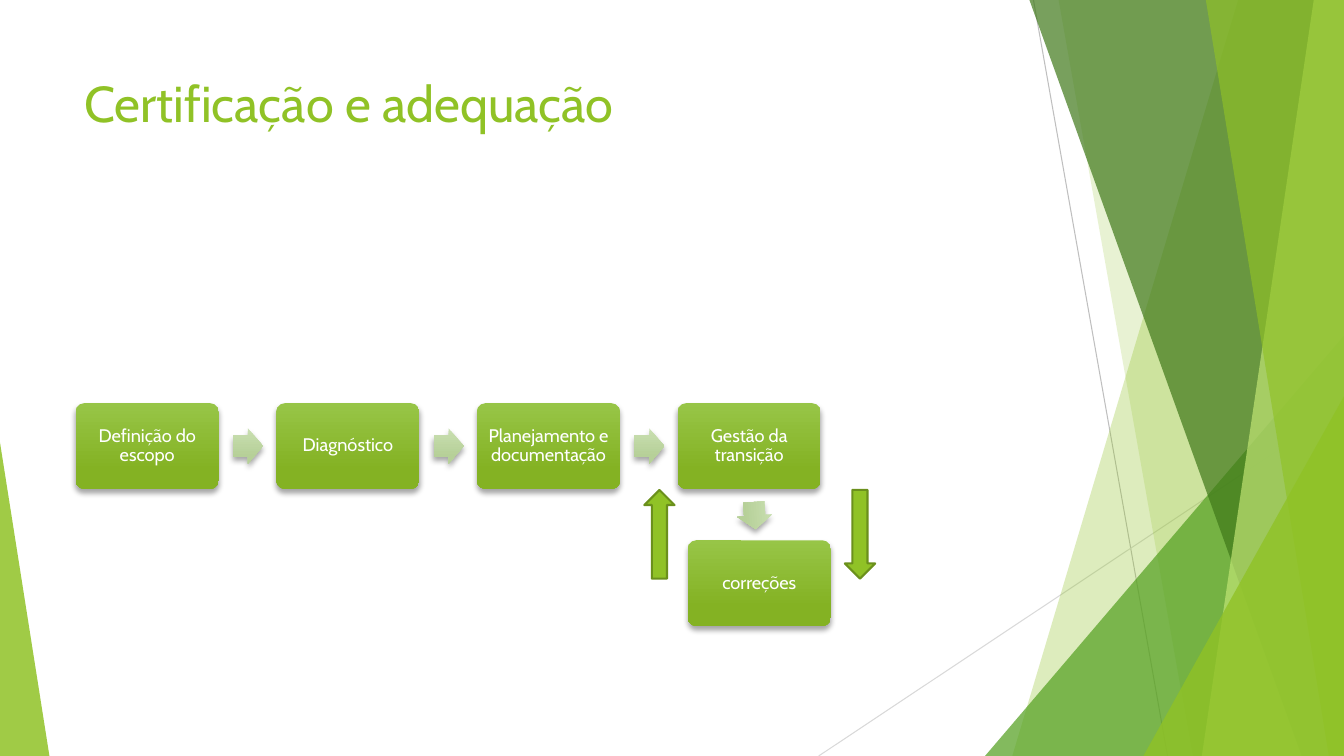
"""Build the slide "Certificação e adequação": a certification process flow."""
from pptx import Presentation
from pptx.dml.color import RGBColor
from pptx.enum import shapes as kinds, text as txt
from pptx.oxml import parse_xml
from pptx.oxml.ns import nsdecls, qn
from pptx.util import Inches, Pt

WHITE = RGBColor(0xFF, 0xFF, 0xFF)
LIME = RGBColor(0x90, 0xC2, 0x26)
LIME_EDGE = RGBColor(0x6B, 0x90, 0x1C)
LEAF = RGBColor(0x54, 0xA0, 0x21)
FOREST = RGBColor(0x3F, 0x78, 0x19)
PALE_LIME = RGBColor(0xC0, 0xE4, 0x74)
GREY = RGBColor(0xBF, 0xBF, 0xBF)
LIGHT_GREY = RGBColor(0xD9, 0xD9, 0xD9)
STEP_COLORS = RGBColor(0x97, 0xC5, 0x47), RGBColor(0x84, 0xB2, 0x23)
ARROW_COLORS = RGBColor(0xC9, 0xDF, 0xB1), RGBColor(0xB6, 0xD0, 0x98)
WIDTH, HEIGHT = 13.33, 7.5
STEP_WIDTH, STEP_HEIGHT, STEP_PITCH = 1.42, 0.85, 1.99


def write(holder, words, size, color, align, anchor, inset_x=0.1, spacing=1.0):
    frame = holder.text_frame
    frame.word_wrap = True
    frame.vertical_anchor = anchor
    frame.margin_left = frame.margin_right = Inches(inset_x)
    frame.margin_top = frame.margin_bottom = Inches(0.05)
    paragraph = frame.paragraphs[0]
    paragraph.alignment = align
    paragraph.line_spacing = spacing
    run = paragraph.add_run()
    run.text = words
    run.font.name = "Cabin"
    run.font.size = Pt(size)
    run.font.color.rgb = color


def add_raised(kind, left, top, width, height, colors, adjustments):
    raised = slide.shapes.add_shape(
        kind, Inches(left), Inches(top), Inches(width), Inches(height))
    for index, value in enumerate(adjustments):
        raised.adjustments[index] = value
    raised.fill.gradient()
    raised.fill.gradient_angle = 270
    for stop, position, color in zip(raised.fill.gradient_stops, (0, 0.78), colors):
        stop.position = position
        stop.color.rgb = color
    raised.line.fill.background()
    raised.shadow.inherit = False
    raised._element.spPr.find(qn("a:effectLst")).append(parse_xml(
        f'<a:outerShdw {nsdecls("a")} blurRad="{Pt(4)}" dist="{Pt(3)}" dir="5400000" '
        'rotWithShape="0"><a:srgbClr val="000000"><a:alpha val="35000"/>'
        '</a:srgbClr></a:outerShdw>'))
    return raised


deck = Presentation()
deck.slide_width, deck.slide_height = Inches(WIDTH), Inches(HEIGHT)
slide = deck.slides.add_slide(deck.slide_layouts[6])

for x1, y1, x2, y2, color in [(10.25, 0, 11.58, HEIGHT, GREY),
                              (WIDTH, 4.03, 8.12, HEIGHT, LIGHT_GREY)]:
    ray = slide.shapes.add_connector(
        kinds.MSO_CONNECTOR.STRAIGHT, Inches(x1), Inches(y1), Inches(x2), Inches(y2))
    ray.line.color.rgb = color
    ray.line.width = Pt(0.75)
    ray._element.spPr.append(parse_xml(f'<a:effectLst {nsdecls("a")}/>'))

facets = [
    ("band", (12.28, 10.04), LIME, 30),
    ("band", (10.5, 11.83), LIME, 20),
    ("triangle", (9.77, 3.33, 3.56, 1), LEAF, 72),
    ("band", (10.21, 12.91), FOREST, 70),
    ("band", (13.03, 11.92), PALE_LIME, 70),
    ("band", (11.96, 13.18), LIME, 65),
    ("triangle", (11.34, 3.93, 1.99, 1), LIME, 80),
    ("triangle", (0, 4.39, 0.49, 0), LIME, 85),
]
for outline, measures, color, opacity in facets:
    if outline == "band":
        top_x, bottom_x = measures
        builder = slide.shapes.build_freeform(Inches(top_x), 0)
        builder.add_line_segments(
            [(Inches(x), Inches(y)) for x, y in
             [(WIDTH, 0), (WIDTH, HEIGHT), (bottom_x, HEIGHT)]], close=True)
        facet = builder.convert_to_shape()
    else:
        left, top, width, apex = measures
        facet = slide.shapes.add_shape(
            kinds.MSO_SHAPE.ISOSCELES_TRIANGLE, Inches(left), Inches(top),
            Inches(width), Inches(HEIGHT - top))
        facet.adjustments[0] = apex
    facet.fill.solid()
    facet.fill.fore_color.rgb = color
    facet._element.spPr.find(".//" + qn("a:srgbClr")).append(
        parse_xml(f'<a:alpha {nsdecls("a")} val="{opacity * 1000}"/>'))
    facet.line.fill.background()
    facet.shadow.inherit = False

title = slide.shapes.add_textbox(Inches(0.74), Inches(0.67), Inches(9.4), Inches(1.44))
write(title, "Certificação e adequação", size=36, color=LIME,
      align=txt.PP_ALIGN.LEFT, anchor=txt.MSO_ANCHOR.TOP)

row = ["Definição do escopo", "Diagnóstico", "Planejamento e documentação",
       "Gestão da transição"]
steps = [(label, 0.75 + i * STEP_PITCH, 4) for i, label in enumerate(row)]
steps.append(("correções", 6.82, 5.36))
for label, left, top in steps:
    step = add_raised(kinds.MSO_SHAPE.ROUNDED_RECTANGLE, left, top,
                      STEP_WIDTH, STEP_HEIGHT, STEP_COLORS, [0.1])
    write(step, label, size=13, color=WHITE, align=txt.PP_ALIGN.CENTER,
          anchor=txt.MSO_ANCHOR.MIDDLE, inset_x=0.07, spacing=0.9)

flow = [(2.31 + i * STEP_PITCH, 4.25, 0.3, 0) for i in range(3)]
flow.append((7.35, 4.94, 0.27, 85.8))
for left, top, width, turn in flow:
    arrow = add_raised(kinds.MSO_SHAPE.RIGHT_ARROW, left, top, width, 0.35,
                       ARROW_COLORS, [0.6, 0.5])
    arrow.rotation = turn

for left, turn in [(6.39, 180), (8.38, 0)]:
    loop_arrow = slide.shapes.add_shape(
        kinds.MSO_SHAPE.DOWN_ARROW, Inches(left), Inches(4.86), Inches(0.3), Inches(0.88))
    loop_arrow.rotation = turn
    loop_arrow.fill.solid()
    loop_arrow.fill.fore_color.rgb = LIME
    loop_arrow.line.color.rgb = LIME_EDGE
    loop_arrow.line.width = Pt(1.5)
    loop_arrow.shadow.inherit = False

deck.save("out.pptx")
